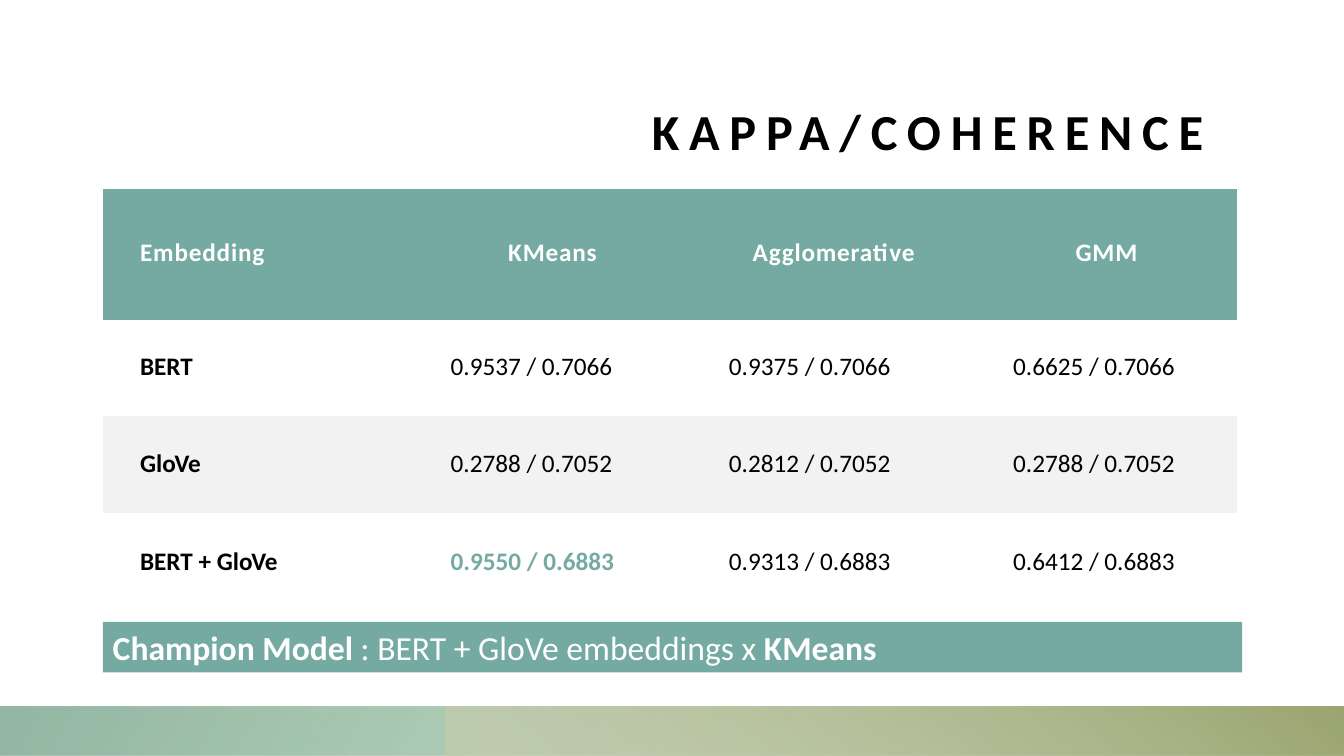
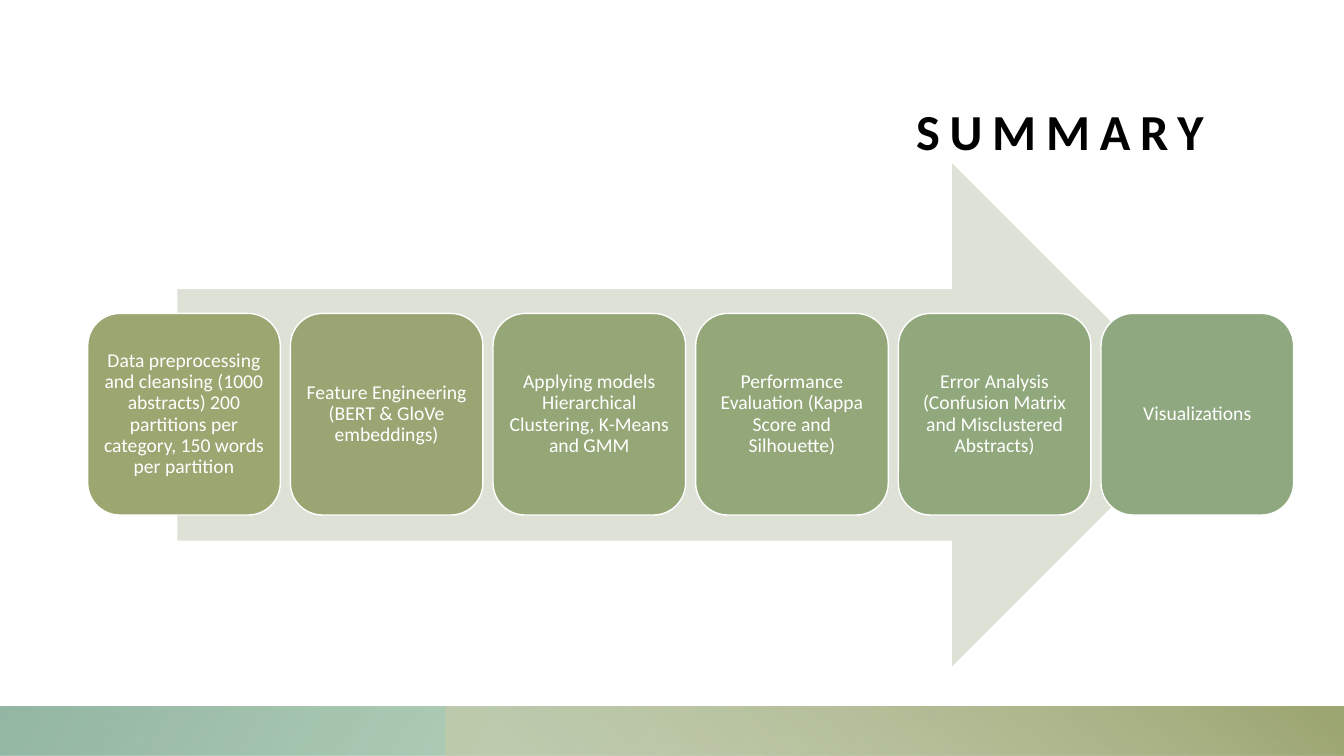
from dataclasses import dataclass

from lxml import etree
from pptx import Presentation
from pptx import util as u
from pptx.dml.color import RGBColor
from pptx.enum import shapes, text
from pptx.oxml import ns

SHAPE = shapes.MSO_SHAPE
ALIGN = text.PP_ALIGN
ANCHOR = text.MSO_ANCHOR
NO_STYLE_TABLE = "{2D5ABB26-0587-4C30-8999-92F81FD0307C}"


@dataclass(frozen=True)
class Theme:
    font: str = "Calibri"
    black: str = "000000"
    white: str = "FFFFFF"
    teal: str = "74AAA2"
    stripe: str = "F2F2F2"
    arrow: str = "DEE1D5"
    steps: tuple = ("9CA671", "99A674", "96A777", "93A779", "91A87C", "8FA87F")
    # Gradient stops: position, colour, opacity in percent
    green_band: tuple = ((0.14, "76AD78", 28), (1, "81AB94", 85))
    olive_band: tuple = ((0.09, "C4CAAA", 68), (0.99, "9CA671", 100))
    title_size: int = 36
    banner_size: int = 24
    table_size: int = 18
    step_size: int = 14


def set_all(target, values):
    for name, value in values.items():
        setattr(target, name, value)


def margins(left, top, right, bottom):
    sides = zip(("left", "top", "right", "bottom"), (left, top, right, bottom))
    return {f"margin_{side}": u.Inches(length) for side, length in sides}


class Deck:
    def __init__(self, theme):
        self.theme = theme
        self.presentation = Presentation()
        set_all(self.presentation, {"slide_width": u.Inches(13.33),
                                    "slide_height": u.Inches(7.5)})
        self.slide = None

    def new_slide(self, title):
        """Start a slide with the shared title and footer bands."""
        theme = self.theme
        self.slide = self.presentation.slides.add_slide(
            self.presentation.slide_layouts[6])
        self.title(title)
        self.band(0, 13.33, theme.green_band, 150)
        self.band(4.42, 8.91, theme.olive_band, 50)

    def title(self, words):
        box = self.slide.shapes.add_textbox(
            *map(u.Inches, (1.5, 0.5, 10.44, 1.1)))
        set_all(box.text_frame, {"word_wrap": True,
                                 "vertical_anchor": ANCHOR.BOTTOM,
                                 **margins(0, 0, 0, 0)})
        self.put_text(box.text_frame, [(words, True)], self.theme.title_size,
                      self.theme.black, ALIGN.RIGHT, spacing=7,
                      line_spacing=0.9)

    def band(self, left, width, stops, angle):
        band = self.shape(SHAPE.RECTANGLE, left, 7.01, width, 0.49)
        band.fill.gradient()
        band.fill.gradient_angle = angle
        for stop, (position, colour, _) in zip(
                band.fill.gradient_stops, stops):
            stop.position = position
            stop.color.rgb = RGBColor.from_string(colour)
        colours = band._element.spPr.iter(ns.qn("a:srgbClr"))
        for element, (_, _, opacity) in zip(colours, stops):
            alpha = etree.SubElement(element, ns.qn("a:alpha"))
            alpha.set("val", str(opacity * 1000))

    def shape(self, kind, left, top, width, height, fill=None, line=None):
        shape = self.slide.shapes.add_shape(
            kind, *map(u.Inches, (left, top, width, height)))
        shape.shadow.inherit = False
        if fill:
            self.paint(shape.fill, fill)
        if line:
            self.paint(shape.line.fill, line)
            shape.line.width = u.Pt(1)
        else:
            shape.line.fill.background()
        return shape

    def paint(self, fill, colour):
        fill.solid()
        fill.fore_color.rgb = RGBColor.from_string(colour)

    def put_text(self, frame, runs, size, colour, align=ALIGN.LEFT, spacing=0,
                 line_spacing=1.0):
        """Fill one paragraph with (words, bold) runs; spacing is in points."""
        paragraph = frame.paragraphs[0]
        set_all(paragraph, {"alignment": align, "line_spacing": line_spacing})
        for words, bold in runs:
            run = paragraph.add_run()
            run.text = words
            set_all(run.font, {"name": self.theme.font, "size": u.Pt(size),
                               "bold": bold})
            run.font.color.rgb = RGBColor.from_string(colour)
            if spacing:
                run._r.get_or_add_rPr().set("spc", str(int(spacing * 100)))

    def table(self, left, top, widths, heights, rows, champion):
        """Draw a table; champion is the (row, column) to highlight."""
        theme = self.theme
        frame = self.slide.shapes.add_table(
            len(rows), len(widths), u.Inches(left), u.Inches(top),
            u.Inches(sum(widths)), u.Inches(sum(heights)))
        table = frame.table
        set_all(table, {"first_row": False, "horz_banding": False})
        table._tbl.tblPr.find(ns.qn("a:tableStyleId")).text = NO_STYLE_TABLE
        for column, width in zip(table.columns, widths):
            column.width = u.Inches(width)
        for row, height in zip(table.rows, heights):
            row.height = u.Inches(height)
        row_fills = (theme.teal, theme.white, theme.stripe, theme.white)
        for i, row in enumerate(rows):
            for j, words in enumerate(row):
                cell = table.cell(i, j)
                header, best = i == 0, (i, j) == champion
                set_all(cell, {"vertical_anchor": ANCHOR.MIDDLE,
                               **margins(0.37, 0.17, 0.37, 0.19)})
                self.paint(cell.fill, row_fills[i])
                colour = (theme.white if header
                          else theme.teal if best else theme.black)
                self.put_text(cell.text_frame,
                              [(words, header or best or j == 0)],
                              theme.table_size, colour,
                              ALIGN.CENTER if header and j else ALIGN.LEFT,
                              spacing=0.6 if header else 0)

    def banner(self, left, top, width, height, runs):
        banner = self.shape(SHAPE.RECTANGLE, left, top, width, height,
                            self.theme.teal)
        set_all(banner.text_frame, {"word_wrap": True,
                                    "vertical_anchor": ANCHOR.MIDDLE})
        self.put_text(banner.text_frame, runs, self.theme.banner_size,
                      self.theme.white)

    def process(self, left, top, width, height, gap, steps):
        """Lay equal step boxes in a row from left to right."""
        theme = self.theme
        for i, (words, colour) in enumerate(zip(steps, theme.steps)):
            box = self.shape(SHAPE.ROUNDED_RECTANGLE, left + i * (width + gap),
                             top, width, height, colour, theme.white)
            set_all(box.text_frame, {"word_wrap": True,
                                     "vertical_anchor": ANCHOR.MIDDLE,
                                     **margins(0.06, 0.06, 0.06, 0.06)})
            self.put_text(box.text_frame, [(words, False)], theme.step_size,
                          theme.white, ALIGN.CENTER, line_spacing=0.9)


def main():
    deck = Deck(Theme())

    deck.new_slide("KAPPA/COHERENCE")
    deck.table(
        1.02, 1.87, (3.08, 2.76, 2.82, 2.59), (1.3, 0.96, 0.96, 0.99),
        (("Embedding", "KMeans", "Agglomerative", "GMM"),
         ("BERT", "0.9537 / 0.7066", "0.9375 / 0.7066", "0.6625 / 0.7066"),
         ("GloVe", "0.2788 / 0.7052", "0.2812 / 0.7052", "0.2788 / 0.7052"),
         ("BERT + GloVe", "0.9550 / 0.6883", "0.9313 / 0.6883",
          "0.6412 / 0.6883")),
        champion=(3, 1))
    deck.banner(1.02, 6.17, 11.3, 0.5,
                [("Champion Model", True),
                 (" : BERT + GloVe embeddings x ", False),
                 ("KMeans", True)])

    deck.new_slide("SUMMARY")
    deck.shape(SHAPE.RIGHT_ARROW, 1.76, 1.62, 10.18, 4.99, deck.theme.arrow)
    deck.process(
        0.87, 3.11, 1.91, 2, 0.1,
        ("Data preprocessing and cleansing (1000 abstracts) 200 partitions "
         "per category, 150 words per partition",
         "Feature Engineering (BERT & GloVe embeddings)",
         "Applying models Hierarchical Clustering, K-Means and GMM",
         "Performance Evaluation (Kappa Score and Silhouette)",
         "Error Analysis (Confusion Matrix and Misclustered Abstracts)",
         "Visualizations"))

    deck.presentation.save("out.pptx")


if __name__ == "__main__":
    main()
